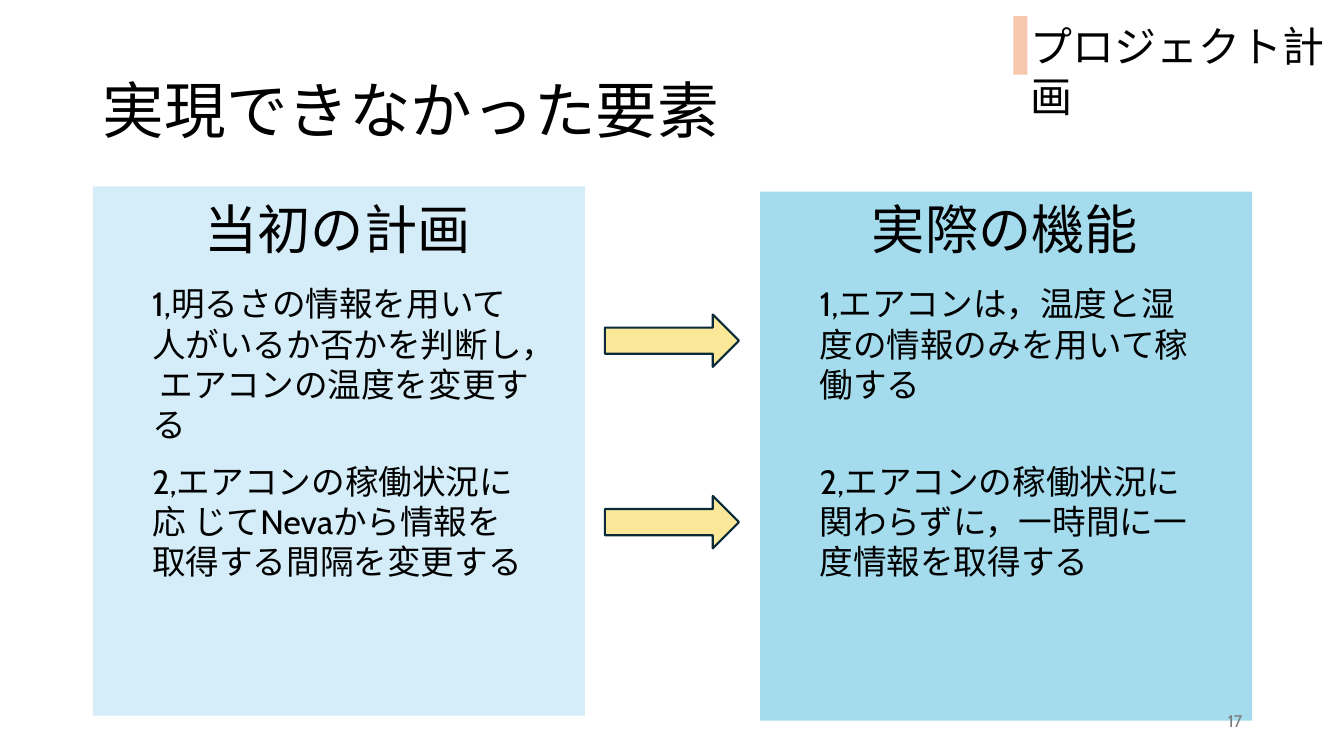
from typing import NamedTuple

from pptx import Presentation
from pptx.dml.color import RGBColor
from pptx.enum.shapes import MSO_SHAPE
from pptx.enum.text import MSO_ANCHOR, MSO_AUTO_SIZE, PP_ALIGN
from pptx.util import Inches, Pt

FONT = "Cabin"
BLACK = "000000"
HEADING_INSET = 1.01
ITEM_INSET = 0.49
ITEM_TOPS = (2.76, 4.52)
ARROW_TOPS = (3.12, 4.92)


class Box(NamedTuple):
    left: float
    top: float
    width: float
    height: float


class Panel(NamedTuple):
    left: float
    top: float
    fill: str
    heading: str
    items: tuple[str, str]
    item_widths: tuple[float, float]


PANELS = (
    Panel(0.92, 1.85, "D4EDF8", "当初の計画",
          ("1,明るさの情報を用いて人がいるか否かを判断し， エアコンの温度を変更する",
           "2,エアコンの稼働状況に応 じてNevaから情報を取得する間隔を変更する"),
          (4.02, 3.89)),
    Panel(7.54, 1.9, "A4DCEE", "実際の機能",
          ("1,エアコンは，温度と湿度の情報のみを用いて稼働する",
           "2,エアコンの稼働状況に関わらずに，一時間に一度情報を取得する"),
          (3.89, 3.89)),
)


def rgb(value: str) -> RGBColor:
    return RGBColor.from_string(value)


def place(shape, box: Box) -> None:
    shape.left, shape.top, shape.width, shape.height = map(Inches, box)


def write(frame, text: str, size: float, color: str = BLACK,
          align: PP_ALIGN = PP_ALIGN.LEFT,
          anchor: MSO_ANCHOR = MSO_ANCHOR.TOP) -> None:
    frame.word_wrap = True
    frame.auto_size = MSO_AUTO_SIZE.NONE
    frame.vertical_anchor = anchor
    paragraph = frame.paragraphs[0]
    paragraph.alignment = align
    run = paragraph.add_run()
    run.text = text
    run.font.name = FONT
    run.font.size = Pt(size)
    run.font.color.rgb = rgb(color)


def add_label(slide, box: Box, text: str, size: float, **style) -> None:
    label = slide.shapes.add_textbox(*map(Inches, box))
    write(label.text_frame, text, size, **style)


def add_block(slide, kind: MSO_SHAPE, box: Box, fill: str, line: str = "") -> None:
    block = slide.shapes.add_shape(kind, *map(Inches, box))
    block.shadow.inherit = False
    block.fill.solid()
    block.fill.fore_color.rgb = rgb(fill)
    if line:
        block.line.color.rgb = rgb(line)
        block.line.width = Pt(1.5)
    else:
        block.line.fill.background()


def add_panel(slide, panel: Panel) -> None:
    add_block(slide, MSO_SHAPE.RECTANGLE,
              Box(panel.left, panel.top, 4.88, 5.25), panel.fill)
    add_label(slide, Box(panel.left + HEADING_INSET, 1.9, 2.84, 0.74),
              panel.heading, 38)
    for item, top, width in zip(panel.items, ITEM_TOPS, panel.item_widths):
        add_label(slide, Box(panel.left + ITEM_INSET, top, width, 1.31), item, 24)


def main() -> None:
    presentation = Presentation()
    presentation.slide_width = Inches(13.33)
    presentation.slide_height = Inches(7.5)
    slide = presentation.slides.add_slide(presentation.slide_layouts[5])

    title = slide.shapes.title
    place(title, Box(0.92, 0.4, 11.5, 1.45))
    write(title.text_frame, "実現できなかった要素", 44, anchor=MSO_ANCHOR.MIDDLE)
    title.text_frame.paragraphs[0].line_spacing = 0.9

    for panel in PANELS:
        add_panel(slide, panel)
    for top in ARROW_TOPS:
        add_block(slide, MSO_SHAPE.RIGHT_ARROW, Box(6, top, 1.33, 0.52),
                  "FAE798", line="092A39")

    add_label(slide, Box(10.12, 0.15, 3.21, 0.61), "プロジェクト計画", 30)
    add_block(slide, MSO_SHAPE.RECTANGLE, Box(10.05, 0.16, 0.14, 0.58), "F6C6AD")
    add_label(slide, Box(9.42, 6.95, 3, 0.4), "17", 12, color="797979",
              align=PP_ALIGN.RIGHT, anchor=MSO_ANCHOR.MIDDLE)

    presentation.save("out.pptx")


if __name__ == "__main__":
    main()
